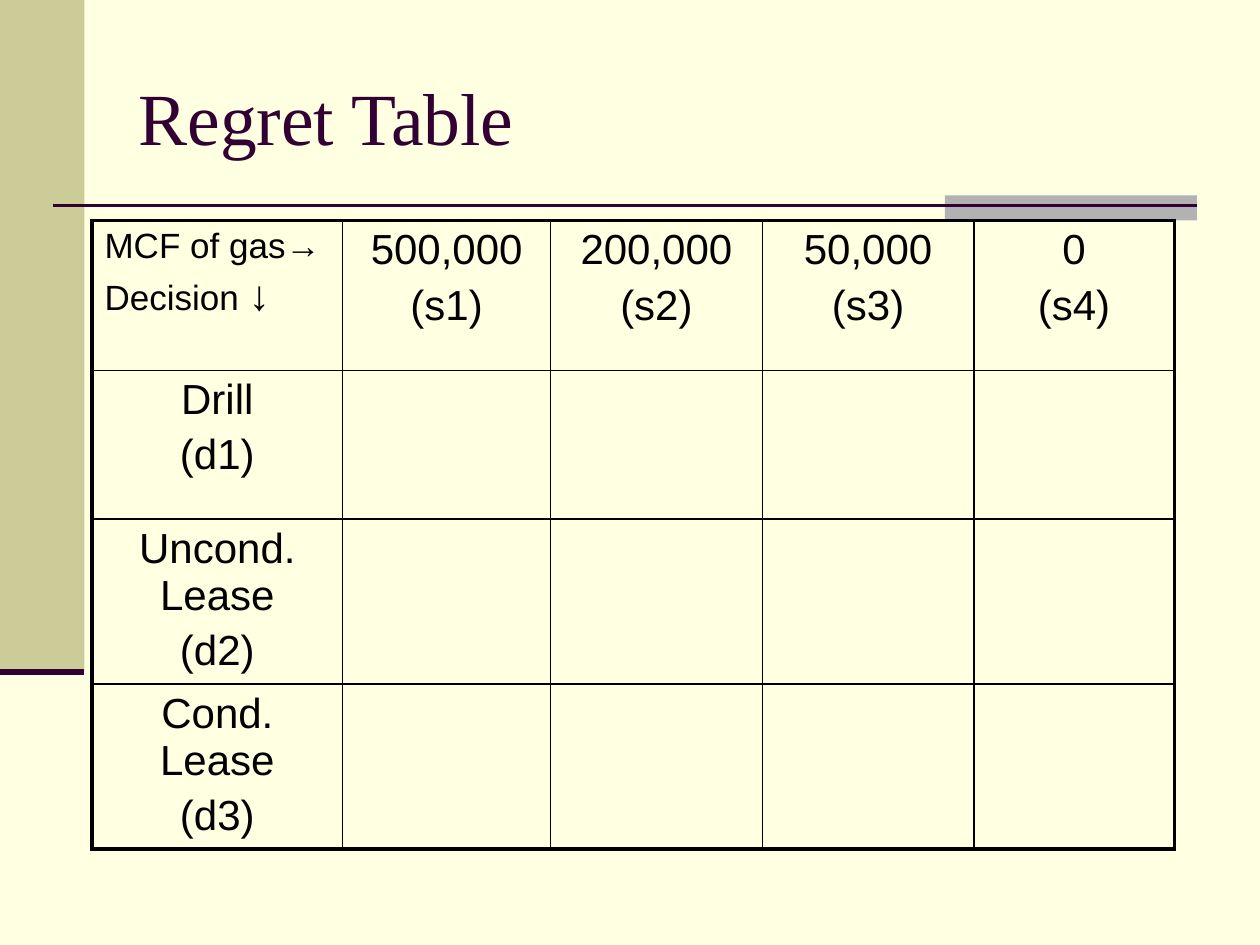
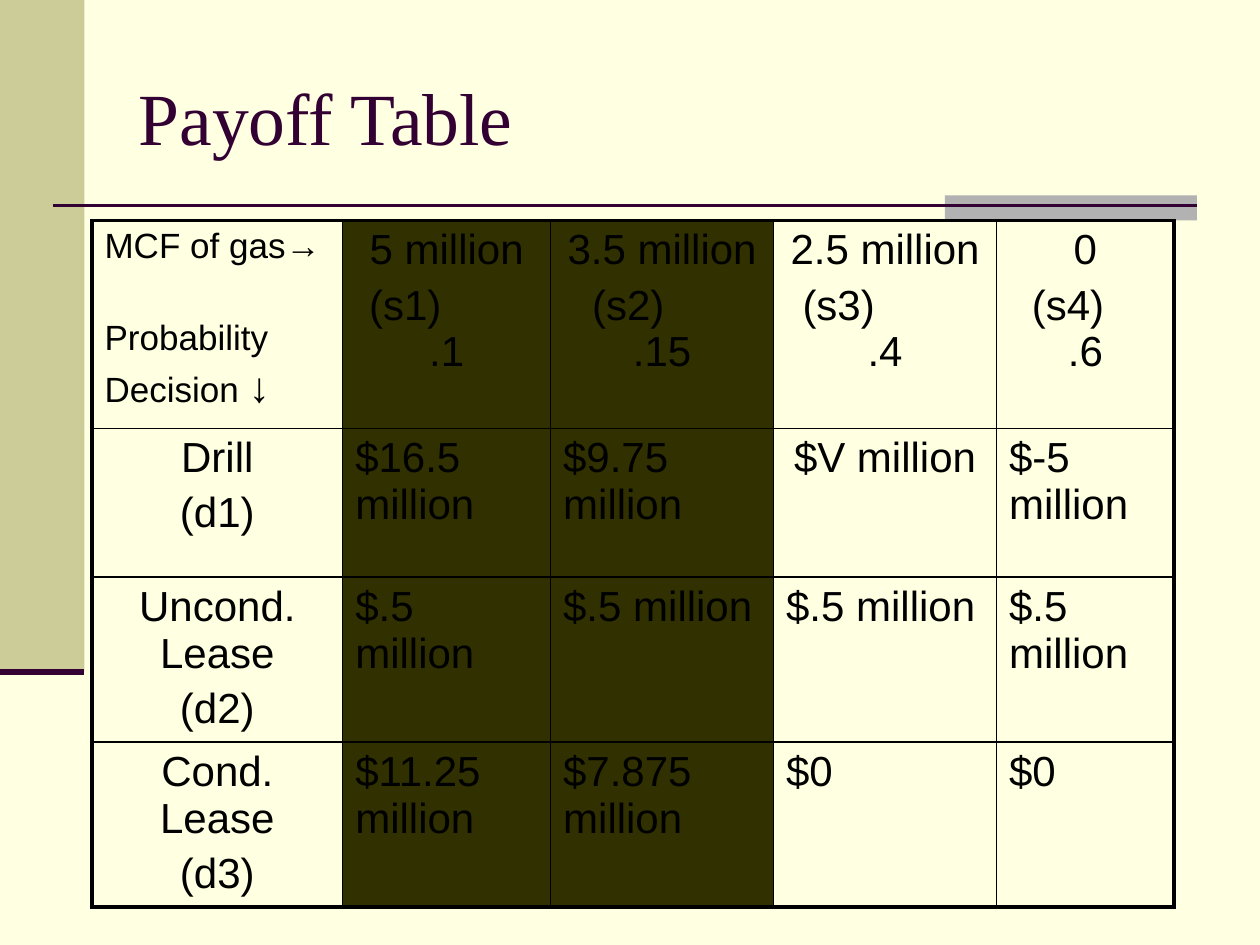
from dataclasses import dataclass

from lxml import etree
from pptx import Presentation
from pptx import util as u
from pptx.dml.color import RGBColor
from pptx.enum import shapes, text
from pptx.oxml import ns

CREAM = RGBColor(0xFF, 0xFF, 0xE1)
KHAKI = RGBColor(0xCC, 0xCC, 0x99)
GRAY = RGBColor(0xB2, 0xB2, 0xB2)
PLUM = RGBColor(0x33, 0x00, 0x33)
OLIVE = RGBColor(0x30, 0x30, 0x00)
BLACK = RGBColor(0x00, 0x00, 0x00)

TITLE_FONT = "Times New Roman"
BODY_FONT = "Arial"
TITLE_SIZE = 42
BODY_SIZE = 24
LABEL_SIZE = 20
SPACE_SHARE = 0.2
OUTER_WIDTH = 2.25
INNER_WIDTH = 1
TABLE_LEFT, TABLE_TOP = 0.73, 1.75

LEFT = text.PP_ALIGN.LEFT
CENTER = text.PP_ALIGN.CENTER


@dataclass(frozen=True)
class Band:
    left: float
    top: float
    width: float
    height: float
    color: RGBColor


@dataclass(frozen=True)
class Rule:
    start: float
    end: float
    top: float
    weight: float


@dataclass(frozen=True)
class Line:
    words: str
    align: text.PP_ALIGN = CENTER
    size: int = BODY_SIZE
    arrow: str = ""
    indent: float = 0
    before: float | None = None


@dataclass(frozen=True)
class Cell:
    lines: tuple[Line, ...] = ()
    fill: RGBColor | None = None


@dataclass(frozen=True)
class Grid:
    title: str
    widths: tuple[float, ...]
    heights: tuple[float, ...]
    rows: list[list[Cell]]


BANDS = (Band(0, 0, 0.67, 5.33, KHAKI), Band(7.5, 1.55, 2, 0.2, GRAY))
RULES = (Rule(0.42, 9.5, 1.63, 1.5), Rule(0, 0.67, 5.33, 3.5))

GAS = Line("MCF of gas→", LEFT, LABEL_SIZE)
PROBABILITY = Line("Probability", LEFT, LABEL_SIZE, before=30)
DECISION = Line("Decision ", LEFT, LABEL_SIZE, arrow="↓")
DECISIONS = [
    Cell((Line(name), Line(f"(d{number})")))
    for number, name in enumerate(("Drill", "Uncond. Lease", "Cond. Lease"), 1)
]


def regret_rows() -> list[list[Cell]]:
    amounts = ("500,000", "200,000", "50,000", "0")
    header = [Cell((GAS, DECISION))] + [
        Cell((Line(amount), Line(f"(s{number})")))
        for number, amount in enumerate(amounts, 1)
    ]
    return [header] + [[decision] + [Cell()] * len(amounts) for decision in DECISIONS]


def payoff_rows() -> list[list[Cell]]:
    states = (
        ("5 million", ".1", 0.11),
        ("3.5 million", ".15", 0.23),
        ("2.5 million", ".4", 0.13),
        ("0", ".6", 0.18),
    )
    payoffs = (
        ("$16.5 million", "$9.75 million", "$V million", "$-5 million"),
        ("$.5 million",) * 4,
        ("$11.25 million", "$7.875 million", "$0", "$0"),
    )
    fills = (OLIVE, OLIVE, None, None)
    header = [Cell((GAS, PROBABILITY, DECISION))]
    for number, ((amount, chance, indent), fill) in enumerate(zip(states, fills), 1):
        state = Line(f"(s{number})", LEFT, indent=indent)
        header.append(Cell((Line(amount), state, Line(chance, before=0)), fill))
    rows = [header]
    for decision, values in zip(DECISIONS, payoffs):
        cells = [
            Cell((Line(value, CENTER if value == "$V million" else LEFT),), fill)
            for value, fill in zip(values, fills)
        ]
        rows.append([decision] + cells)
    return rows


def draw_band(page, band: Band) -> None:
    box = page.shapes.add_shape(
        shapes.MSO_SHAPE.RECTANGLE,
        u.Inches(band.left), u.Inches(band.top),
        u.Inches(band.width), u.Inches(band.height),
    )
    box.shadow.inherit = False
    box.fill.solid()
    box.fill.fore_color.rgb = band.color
    box.line.fill.background()


def draw_rule(page, rule: Rule) -> None:
    line = page.shapes.add_connector(
        shapes.MSO_CONNECTOR.STRAIGHT,
        u.Inches(rule.start), u.Inches(rule.top),
        u.Inches(rule.end), u.Inches(rule.top),
    )
    line.line.color.rgb = PLUM
    line.line.width = u.Pt(rule.weight)
    etree.SubElement(line._element.spPr, ns.qn("a:effectLst"))


def draw_title(page, words: str) -> None:
    title = page.shapes.title
    title.left, title.top = u.Inches(1), u.Inches(0.3)
    title.width, title.height = u.Inches(8.5), u.Inches(1.25)
    frame = title.text_frame
    frame.text = words
    frame.word_wrap = True
    frame.auto_size = text.MSO_AUTO_SIZE.NONE
    frame.vertical_anchor = text.MSO_ANCHOR.MIDDLE
    para = frame.paragraphs[0]
    para.alignment = LEFT
    para.font.name = TITLE_FONT
    para.font.size = u.Pt(TITLE_SIZE)
    para.font.color.rgb = PLUM


def write_line(para, line: Line, first: bool) -> None:
    para.alignment = line.align
    if line.indent:
        properties = para._p.get_or_add_pPr()
        properties.set("marL", str(u.Inches(line.indent)))
        properties.set("indent", "0")
    if not first:
        before = line.size * SPACE_SHARE if line.before is None else line.before
        para.space_before = u.Pt(before)
    para.font.name = BODY_FONT
    para.font.size = u.Pt(line.size)
    para.font.color.rgb = BLACK
    para.add_run().text = line.words
    if line.arrow:
        span = para.add_run()
        span.text = line.arrow
        span.font.size = u.Pt(BODY_SIZE)


def set_borders(cell, outer_sides: dict[str, bool]) -> None:
    properties = cell._tc.get_or_add_tcPr()
    for position, (side, outer) in enumerate(outer_sides.items()):
        border = etree.Element(ns.qn(f"a:ln{side}"))
        border.set("w", str(u.Pt(OUTER_WIDTH if outer else INNER_WIDTH)))
        fill = etree.SubElement(border, ns.qn("a:solidFill"))
        etree.SubElement(fill, ns.qn("a:srgbClr")).set("val", str(BLACK))
        properties.insert(position, border)


def draw_grid(page, grid: Grid) -> None:
    last_row, last_column = len(grid.heights) - 1, len(grid.widths) - 1
    table = page.shapes.add_table(
        len(grid.heights), len(grid.widths),
        u.Inches(TABLE_LEFT), u.Inches(TABLE_TOP),
        u.Inches(sum(grid.widths)), u.Inches(sum(grid.heights)),
    ).table
    table.first_row = False
    table.horz_banding = False
    for column, width in zip(table.columns, grid.widths):
        column.width = u.Inches(width)
    for row, height in zip(table.rows, grid.heights):
        row.height = u.Inches(height)
    for r, cells in enumerate(grid.rows):
        for c, content in enumerate(cells):
            cell = table.cell(r, c)
            if content.fill is None:
                cell.fill.background()
            else:
                cell.fill.solid()
                cell.fill.fore_color.rgb = content.fill
            set_borders(cell, {
                "L": c == 0, "R": c == last_column,
                "T": r == 0, "B": r == last_row,
            })
            frame = cell.text_frame
            for index, line in enumerate(content.lines):
                para = frame.add_paragraph() if index else frame.paragraphs[0]
                write_line(para, line, index == 0)


def add_page(deck, grid: Grid) -> None:
    page = deck.slides.add_slide(deck.slide_layouts.get_by_name("Title Only"))
    page.background.fill.solid()
    page.background.fill.fore_color.rgb = CREAM
    for band in BANDS:
        draw_band(page, band)
    for rule in RULES:
        draw_rule(page, rule)
    draw_title(page, grid.title)
    draw_grid(page, grid)


def main() -> None:
    deck = Presentation()
    deck.slide_width, deck.slide_height = u.Inches(10), u.Inches(7.5)
    body_heights = (1.18, 1.31, 1.31)
    add_page(deck, Grid("Regret Table", (1.99, 1.65, 1.68, 1.68, 1.59),
                        (1.19, *body_heights), regret_rows()))
    add_page(deck, Grid("Payoff Table", (1.99, 1.65, 1.77, 1.77, 1.41),
                        (1.65, *body_heights), payoff_rows()))
    deck.save("out.pptx")


if __name__ == "__main__":
    main()
